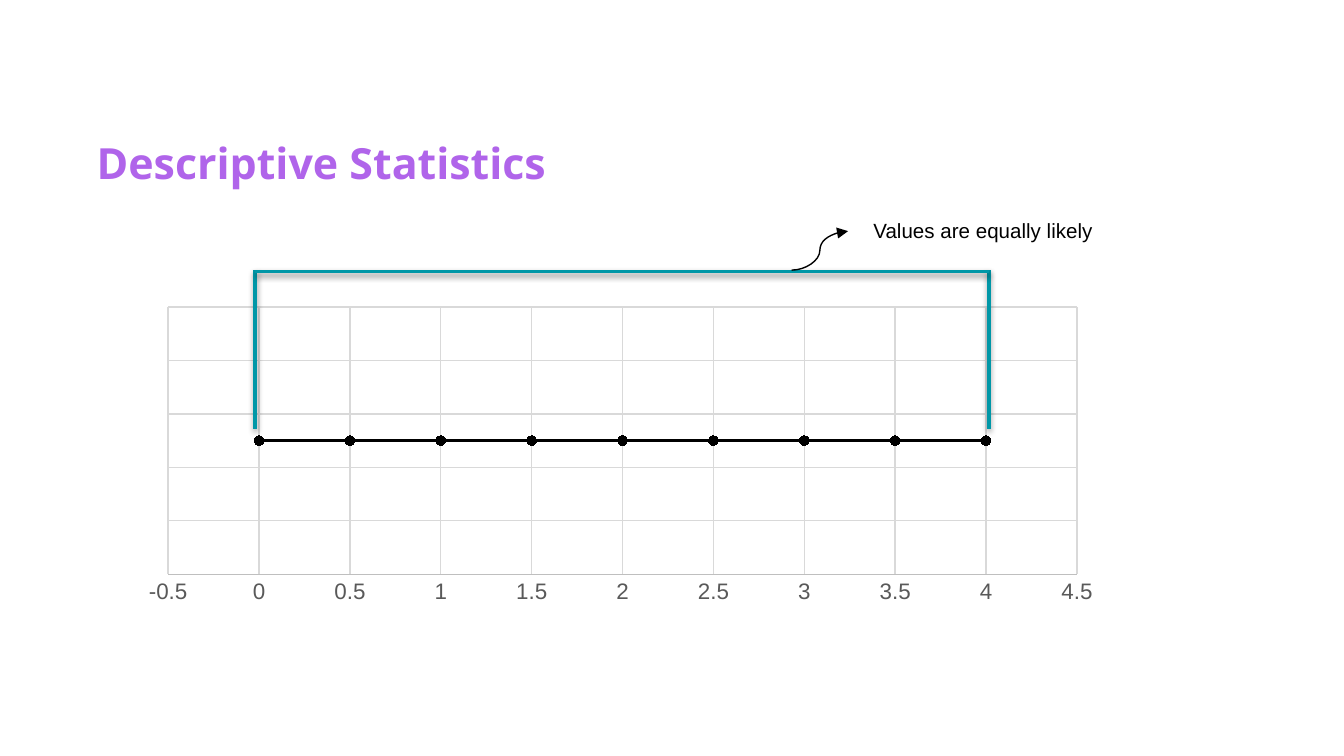
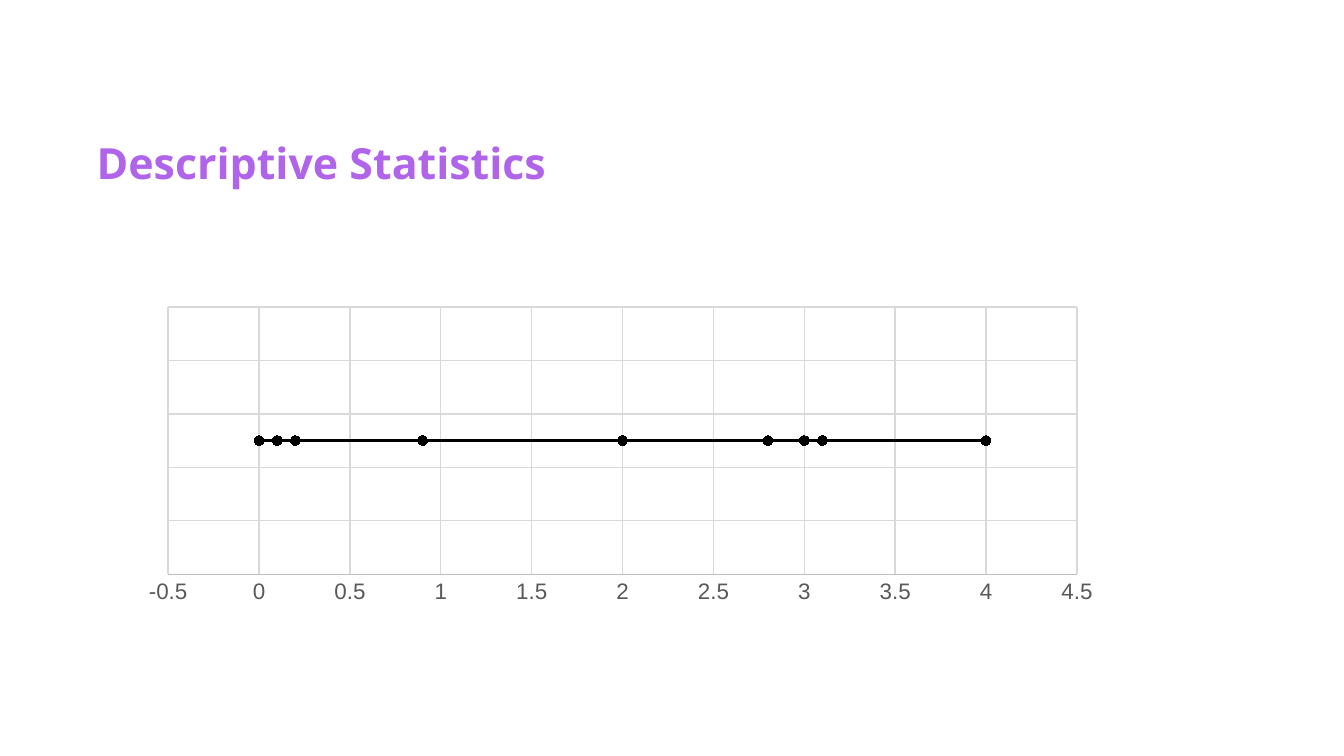
from dataclasses import dataclass

from lxml import etree
from pptx import Presentation
from pptx.chart.data import XyChartData
from pptx.dml.color import RGBColor
from pptx.enum.chart import XL_CHART_TYPE, XL_MARKER_STYLE, XL_TICK_MARK
from pptx.enum.shapes import MSO_CONNECTOR
from pptx.enum.text import MSO_ANCHOR, MSO_AUTO_SIZE
from pptx.oxml.ns import qn
from pptx.util import Pt

SCATTER = XL_CHART_TYPE.XY_SCATTER_SMOOTH
CIRCLE = XL_MARKER_STYLE.CIRCLE
NO_TICK = XL_TICK_MARK.NONE
STRAIGHT = MSO_CONNECTOR.STRAIGHT
CURVE = MSO_CONNECTOR.CURVE
TOP = MSO_ANCHOR.TOP
GROW = MSO_AUTO_SIZE.SHAPE_TO_FIT_TEXT
BLANK = 6


@dataclass(frozen=True)
class Theme:
    title_font: str = "Noto Sans"
    body_font: str = "Arial"
    title: str = "B064EA"
    text: str = "000000"
    bracket: str = "0097A7"
    axis_text: str = "595959"
    axis_line: str = "BFBFBF"
    grid: str = "D9D9D9"
    marker: str = "FF0000"
    title_size: float = 23
    note_size: float = 11
    axis_size: float = 12
    chart_size: float = 10


T = Theme()
TITLE = "Descriptive Statistics"
EVEN_VALUES = [i / 2 for i in range(9)]
UNEVEN_VALUES = [0, 0.1, 0.2, 0.9, 2, 2.8, 3, 3.1, 4]
LEVEL = 100  # every point sits on one horizontal line


def rgb(color):
    return RGBColor.from_string(color)


def style_font(font, name, size, color, bold=False):
    font.name, font.size, font.bold = name, Pt(size), bold
    font.color.rgb = rgb(color)


def style_line(line, color, width):
    line.color.rgb = rgb(color)
    line.width = Pt(width)


# Text
def add_text(slide, box, text, font, size, color, bold=False):
    sp = slide.shapes.add_textbox(*map(Pt, box))
    tf = sp.text_frame
    tf.vertical_anchor = TOP
    r = tf.paragraphs[0].add_run()
    r.text = text
    style_font(r.font, font, size, color, bold)
    return tf


def add_title(slide):
    tf = add_text(slide, (44.64, 66.24, 541.44, 38.88), TITLE,
                  T.title_font, T.title_size, T.title, True)
    tf.word_wrap = True
    tf.margin_top = tf.margin_bottom = Pt(7.2)
    tf.paragraphs[0].space_after = Pt(16)


# Lines
def add_line(slide, kind, start, end, color, width):
    """Add a connector; return it with its empty effect list."""
    sp = slide.shapes.add_connector(kind, *map(Pt, start + end))
    style_line(sp.line, color, width)
    effects = etree.SubElement(sp._element.spPr, qn("a:effectLst"))
    return sp, effects


def add_bracket_side(slide, start, end):
    _, effects = add_line(slide, STRAIGHT, start, end, T.bracket, 2)
    shadow = etree.SubElement(
        effects, qn("a:outerShdw"), blurRad=str(Pt(3.1)), dist=str(Pt(1.6)),
        dir="5400000", rotWithShape="0")
    color = etree.SubElement(shadow, qn("a:srgbClr"), val=T.text)
    etree.SubElement(color, qn("a:alpha"), val="38000")


def add_bracket(slide, left, right, top, bottom):
    for x in (left, right):
        add_bracket_side(slide, (x, bottom), (x, top))
    add_bracket_side(slide, (left, top + 0.7), (right, top + 0.7))


def add_curved_arrow(slide, start, end):
    sp, _ = add_line(slide, CURVE, start, end, T.text, 0.75)
    etree.SubElement(sp.line._ln, qn("a:tailEnd"), type="triangle")


# Chart
def set_scale(axis, low, high, step):
    axis.minimum_scale, axis.maximum_scale = low, high
    axis.major_unit = step
    axis.has_major_gridlines = True
    style_line(axis.major_gridlines.format.line, T.grid, 0.75)
    axis.major_tick_mark = axis.minor_tick_mark = NO_TICK


def set_plot_area(chart, x, y, w, h):
    area = chart._chartSpace.chart.plotArea
    for old in area.findall(qn("c:layout")):
        area.remove(old)
    layout = etree.Element(qn("c:layout"))
    manual = etree.SubElement(layout, qn("c:manualLayout"))
    settings = (("layoutTarget", "inner"), ("xMode", "edge"),
                ("yMode", "edge"), ("x", x), ("y", y), ("w", w), ("h", h))
    for tag, value in settings:
        etree.SubElement(manual, qn("c:" + tag), val=str(value))
    area.insert(0, layout)


def add_number_line(slide, values):
    data = XyChartData()
    points = data.add_series("Series 1")
    for x in values:
        points.add_data_point(x, LEVEL)
    box = map(Pt, (72, 140.4, 532.08, 182.88))
    chart = slide.shapes.add_chart(SCATTER, *box, data).chart
    chart.has_title = chart.has_legend = False
    style_font(chart.font, T.body_font, T.chart_size, T.text)
    set_plot_area(chart, 0.034, 0.132, 0.915, 0.784)

    x_axis, y_axis = chart.category_axis, chart.value_axis
    set_scale(x_axis, -0.5, 4.5, 0.5)
    style_line(x_axis.format.line, T.axis_line, 0.75)
    style_font(x_axis.tick_labels.font, T.body_font, T.axis_size, T.axis_text)
    set_scale(y_axis, 80, 120, 8)
    y_axis.visible = False

    plot = chart.plots[0]
    plot.vary_by_categories = False
    series = plot.series[0]
    style_line(series.format.line, T.text, 1.5)
    for smooth in series._element.findall(qn("c:smooth")):
        smooth.set("val", "1")
    marker = series.marker
    marker.style, marker.size = CIRCLE, 5
    marker.format.fill.solid()
    marker.format.fill.fore_color.rgb = rgb(T.marker)
    style_line(marker.format.line, T.text, 0.75)


def add_note(slide):
    tf = add_text(slide, (460.8, 113.04, 133.92, 20.88),
                  "Values are equally likely",
                  T.body_font, T.note_size, T.text)
    tf.word_wrap = False
    tf.auto_size = GROW


def add_chart_slide(prs, values):
    s = prs.slides.add_slide(prs.slide_layouts[BLANK])
    add_title(s)
    add_number_line(s, values)
    return s


def main():
    prs = Presentation()
    prs.slide_width, prs.slide_height = Pt(720), Pt(405)

    # Evenly spaced values, with the whole range marked
    s = add_chart_slide(prs, EVEN_VALUES)
    add_bracket(s, 136.8, 529.92, 144.72, 229.68)
    add_note(s)
    add_curved_arrow(s, (424.08, 144.72), (454.32, 123.84))

    # Unevenly spaced values
    add_chart_slide(prs, UNEVEN_VALUES)

    prs.save("out.pptx")


if __name__ == "__main__":
    main()
